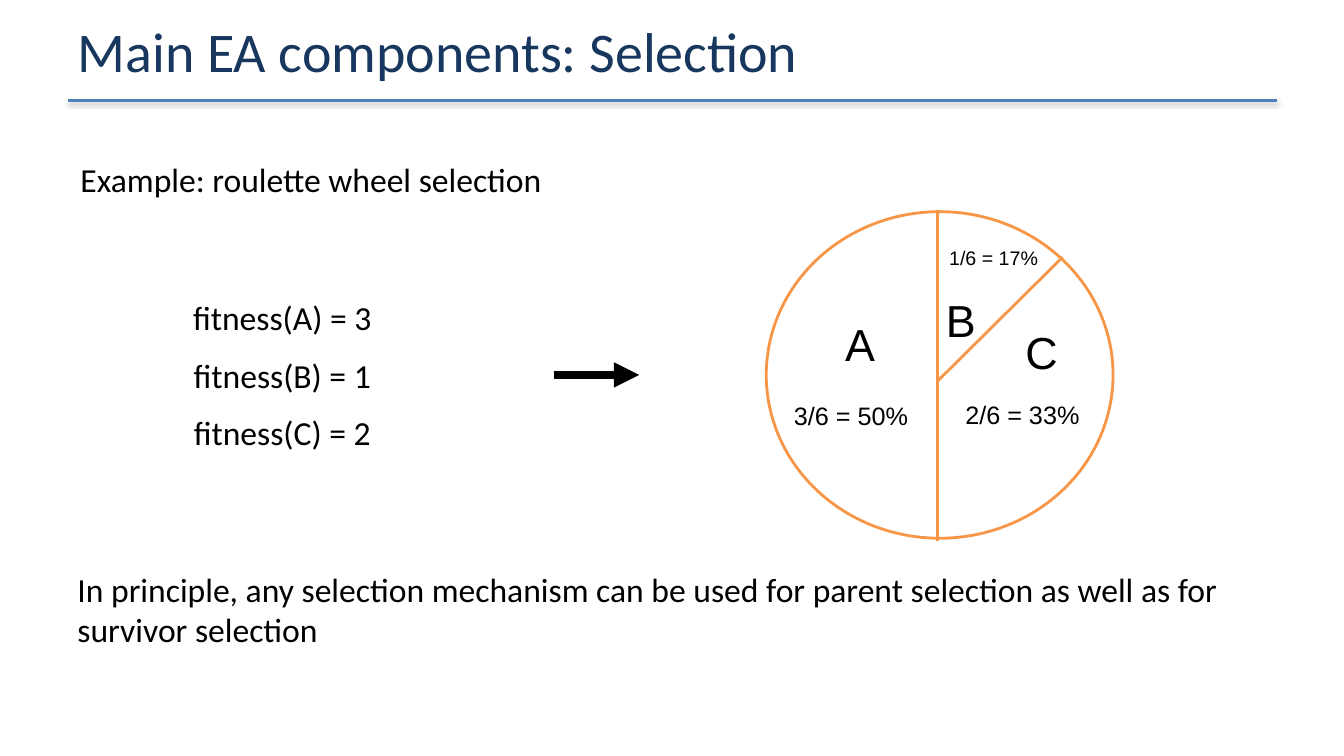
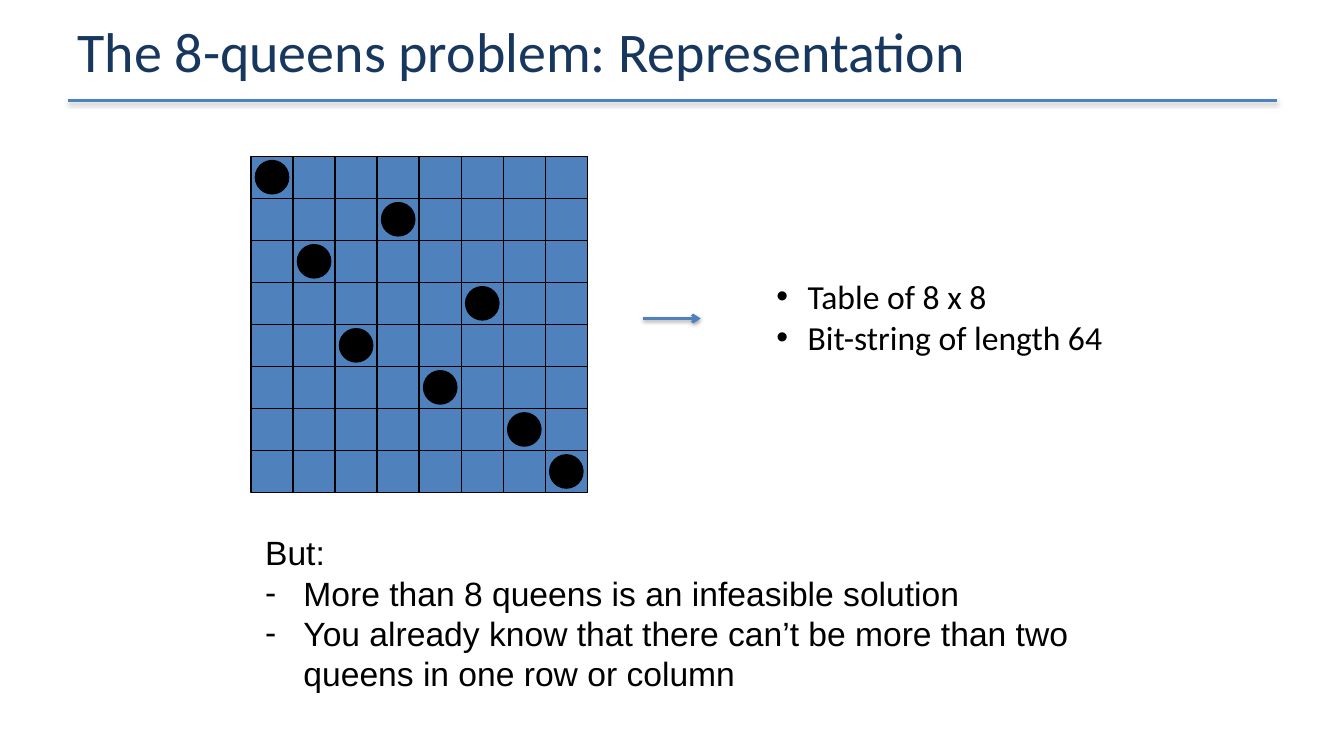
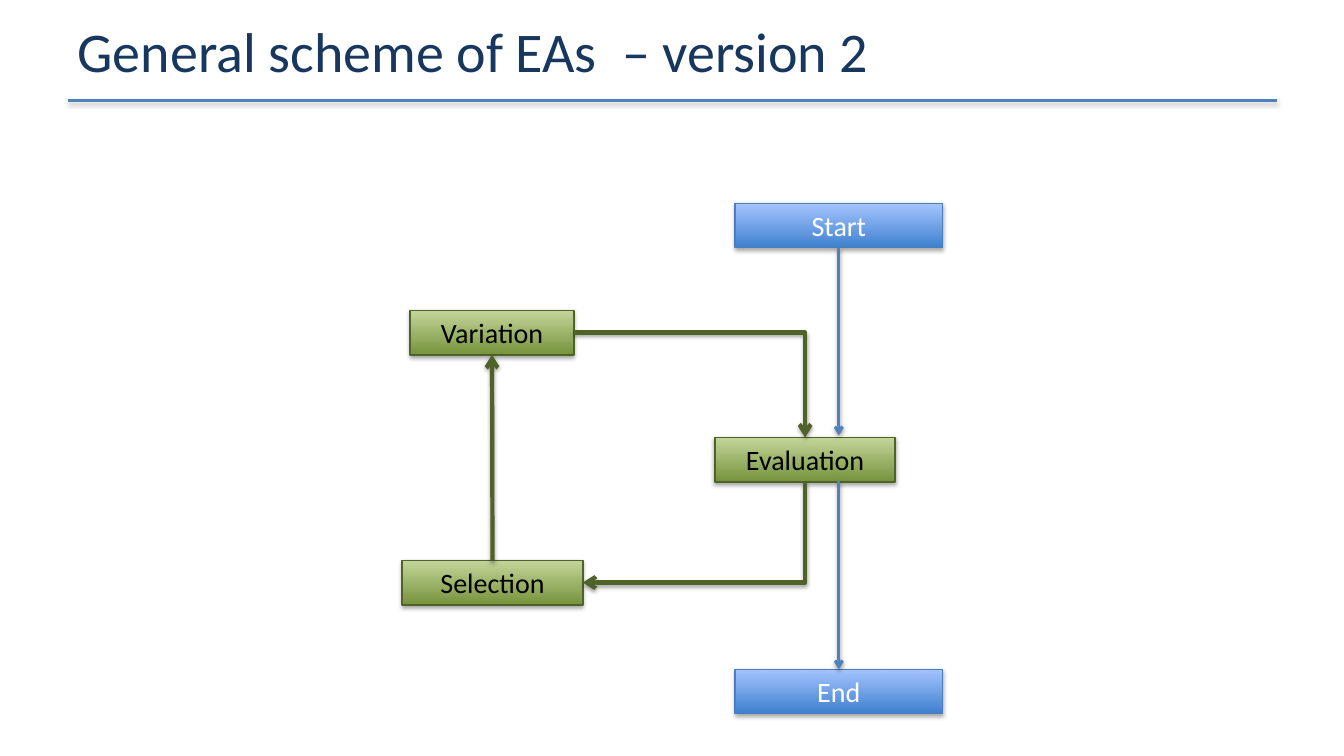
from pptx import Presentation
from pptx.dml.color import RGBColor
from pptx.enum.shapes import MSO_CONNECTOR as LINK, MSO_SHAPE as FORM
from pptx.enum.text import MSO_ANCHOR as ANCHOR, MSO_AUTO_SIZE as FIT, PP_ALIGN as ALIGN
from pptx.oxml.ns import qn
from pptx.util import Pt
from lxml.etree import SubElement

SCALE = 9144  # EMU in one px, 100 px to the inch
SIZE = (1333, 750)

NAVY = RGBColor(0x17, 0x37, 0x5E)
BLUE = RGBColor(0x4F, 0x81, 0xBD)
EDGE = RGBColor(0x4B, 0x7E, 0xBC)
DEEP = RGBColor(0x3F, 0x80, 0xCE)
SKY = RGBColor(0xA4, 0xC4, 0xFF)
MOSS = RGBColor(0x4F, 0x62, 0x28)
LEAF = RGBColor(0x77, 0x93, 0x3C)
LIME = RGBColor(0xC3, 0xD6, 0x9B)
ORANGE = RGBColor(0xF7, 0x96, 0x46)
BLACK = RGBColor(0, 0, 0)
WHITE = RGBColor(0xFF, 0xFF, 0xFF)

TITLES = [
    "Main EA components: Selection",
    "The 8-queens problem: Representation",
    "General scheme of EAs  – version 2",
]

# Slide 1: text, box (left, top, width, height), size, font
INTRO = ("Example: roulette wheel selection", (67, 153, 483, 50), 24, "Calibri")
CLOSE = ("In principle, any selection mechanism can be used for parent selection "
         "as well as for survivor selection", (67, 559, 1200, 131), 24, "Calibri")
SCORES = ["fitness(A) = 3", "fitness(B) = 1", "fitness(C) = 2"]
WHEEL = (760, 210, 344, 324)
SPOKES = [((929, 379), (1054, 255)), ((930, 208), (930, 537))]
SLICES = [
    ("A", (828, 309, 50, 64), 32, "Arial"),
    ("B", (928, 285, 50, 64), 32, "Arial"),
    ("C", (1007, 317, 52, 64), 32, "Arial"),
    ("3/6 = 50%", (777, 392, 134, 40), 18, "Arial"),
    ("1/6 = 17%", (931, 239, 109, 33), 14, "Arial"),
    ("2/6 = 33%", (947, 391, 134, 40), 18, "Arial"),
]

# Slide 2: column of the queen in each row, then bullet and text of each line
QUEENS = [0, 3, 1, 5, 2, 4, 6, 7]
BOARD = (249, 155)
CELL, DISC = 41.7, 33
CODES = [("•", "Table of 8 x 8"), ("•", "Bit-string of length 64")]
LIMITS = [
    ("", "But:"),
    ("-", "More than 8 queens is an infeasible solution"),
    ("-", "You already know that there can’t be more than two queens in one row or column"),
]

# Slide 3: fill bottom, fill top, edge, edge width, text colour
GREEN_BOX = (LEAF, LIME, MOSS, 1.25, BLACK)
BLUE_BOX = (DEEP, SKY, EDGE, 0.75, WHITE)
STEPS = [
    ("Evaluation", (709, 434, 179, 44), GREEN_BOX),
    ("Variation", (407, 308, 162, 44), GREEN_BOX),
    ("Selection", (399, 556, 179, 44), GREEN_BOX),
    ("Start", (729, 202, 206, 44), BLUE_BOX),
    ("End", (729, 664, 206, 44), BLUE_BOX),
]
TOP, BOTTOM, RIGHT = 0, 2, 3
# from step and side, to step and side, arrow end, preset
LOOP = [
    ("Variation", RIGHT, "Evaluation", TOP, "tailEnd", "bentConnector2"),
    ("Selection", RIGHT, "Evaluation", BOTTOM, "headEnd", "bentConnector2"),
    ("Selection", TOP, "Variation", BOTTOM, "tailEnd", "line"),
]
FLOW = [((832, 246), (832, 432)), ((832, 477), (832, 664))]


def emu(*sizes):
    return [round(size * SCALE) for size in sizes]


def shade(effects, alpha):
    """Put a soft shadow below into an effect list."""
    drop = SubElement(effects, qn("a:outerShdw"), blurRad=str(Pt(3.1)),
                      dist=str(Pt(1.6)), dir="5400000", rotWithShape="0")
    tint = SubElement(drop, qn("a:srgbClr"), val=str(BLACK))
    SubElement(tint, qn("a:alpha"), val=str(alpha * 1000))


def write(par, text, size, font, color=BLACK, align=ALIGN.LEFT):
    par.alignment = align
    run = par.add_run()
    run.text = text
    run.font.size, run.font.name = Pt(size), font
    run.font.color.rgb = color


def label(slide, text, box, size, font, wrap=False):
    frame = slide.shapes.add_textbox(*emu(*box)).text_frame
    frame.word_wrap = wrap
    write(frame.paragraphs[0], text, size, font,
          align=ALIGN.LEFT if wrap else ALIGN.CENTER)


def shape(slide, form, box, color, edge, width):
    item = slide.shapes.add_shape(form, *emu(*box))
    item.shadow.inherit = False
    item.fill.solid()
    item.fill.fore_color.rgb = color
    item.line.color.rgb, item.line.width = edge, Pt(width)
    return item


def line(slide, start, end, color, width, tip=None, shadow=False, side="tailEnd"):
    item = slide.shapes.add_connector(LINK.STRAIGHT, *emu(*start, *end))
    item.line.color.rgb, item.line.width = color, Pt(width)
    props = item.element.spPr
    if tip:
        SubElement(props.find(qn("a:ln")), qn("a:" + side), type=tip)
    effects = SubElement(props, qn("a:effectLst"))
    if shadow:
        shade(effects, 38)
    return item


def place(holder, box):
    holder.left, holder.top, holder.width, holder.height = emu(*box)
    holder.text_frame.auto_size = FIT.NONE
    return holder.text_frame


def listing(holder, box, items, font, indent):
    frame = place(holder, box)
    frame.vertical_anchor = ANCHOR.TOP
    for i, (mark, text) in enumerate(items):
        par = frame.add_paragraph() if i else frame.paragraphs[0]
        par.space_before = Pt(0)
        write(par, text, 24, font)
        props = par._p.get_or_add_pPr()
        step = emu(indent)[0] if mark else 0
        props.set("marL", str(step))
        props.set("indent", str(-step))
        if mark:
            SubElement(props, qn("a:buFont"), typeface="Arial")
            SubElement(props, qn("a:buChar"), char=mark)
        else:
            SubElement(props, qn("a:buNone"))


def base(deck, layout, title):
    """Add a slide with the shared title and rule."""
    slide = deck.slides.add_slide(deck.slide_layouts.get_by_name(layout))
    line(slide, (67, 100), (1267, 100), BLUE, 2, shadow=True)
    frame = place(slide.shapes.title, (67, 2, 1200, 95))
    frame.vertical_anchor = ANCHOR.MIDDLE
    frame.margin_top = frame.margin_bottom = 0
    write(frame.paragraphs[0], title, 40, "Calibri", NAVY)
    return slide


def wheel(deck, title):
    slide = base(deck, "Title Only", title)
    label(slide, *INTRO)
    for i, text in enumerate(SCORES):
        label(slide, text, (181, 290 + 57 * i, 198, 50), 24, "Calibri")
    line(slide, (549, 372), (634, 372), BLACK, 6, "triangle")
    shape(slide, FORM.OVAL, WHEEL, WHITE, ORANGE, 2)
    for part in SLICES:
        label(slide, *part)
    for start, end in SPOKES:
        line(slide, start, end, ORANGE, 2)
    label(slide, *CLOSE, wrap=True)


def queens(deck, title):
    slide = base(deck, "Two Content", title)
    left, top = BOARD
    count = len(QUEENS)
    for row in range(count):
        for col in range(count):
            box = (left + col * CELL, top + row * CELL, CELL, CELL)
            shape(slide, FORM.RECTANGLE, box, BLUE, BLACK, 1)
    gap = (CELL - DISC) / 2
    for row, col in enumerate(QUEENS):
        box = (left + col * CELL + gap, top + row * CELL + gap, DISC, DISC)
        shape(slide, FORM.OVAL, box, BLACK, BLACK, 1)
    line(slide, (638, 316), (695, 316), BLUE, 2, "arrow", True)
    codes, limits = list(slide.placeholders)[1:]
    listing(codes, (760, 269, 380, 91), CODES, "Calibri", 31)
    listing(limits, (253, 523, 842, 172), LIMITS, "Arial", 38)


def scheme(deck, title):
    slide = base(deck, "Title Only", title)
    boxes = {}
    for text, box, (low, high, edge, width, ink) in STEPS:
        item = boxes[text] = shape(slide, FORM.RECTANGLE, box, low, edge, width)
        item.fill.gradient()
        item.fill.gradient_angle = 90
        for stop, color in zip(item.fill.gradient_stops, (low, high)):
            stop.color.rgb = color
        shade(item.element.spPr.find(qn("a:effectLst")), 35)
        frame = item.text_frame
        frame.vertical_anchor = ANCHOR.MIDDLE
        write(frame.paragraphs[0], text, 20, "Calibri", ink, ALIGN.CENTER)
    for first, out, last, into, side, form in LOOP:
        link = line(slide, (0, 0), (0, 0), MOSS, 3, "arrow", True, side)
        link.begin_connect(boxes[first], out)
        link.end_connect(boxes[last], into)
        link.element.spPr.find(qn("a:prstGeom")).set("prst", form)
    for start, end in FLOW:
        line(slide, start, end, BLUE, 2, "arrow", True)


def main():
    deck = Presentation()
    deck.slide_width, deck.slide_height = emu(*SIZE)
    for build, title in zip((wheel, queens, scheme), TITLES):
        build(deck, title)
    deck.save("out.pptx")


if __name__ == "__main__":
    main()
